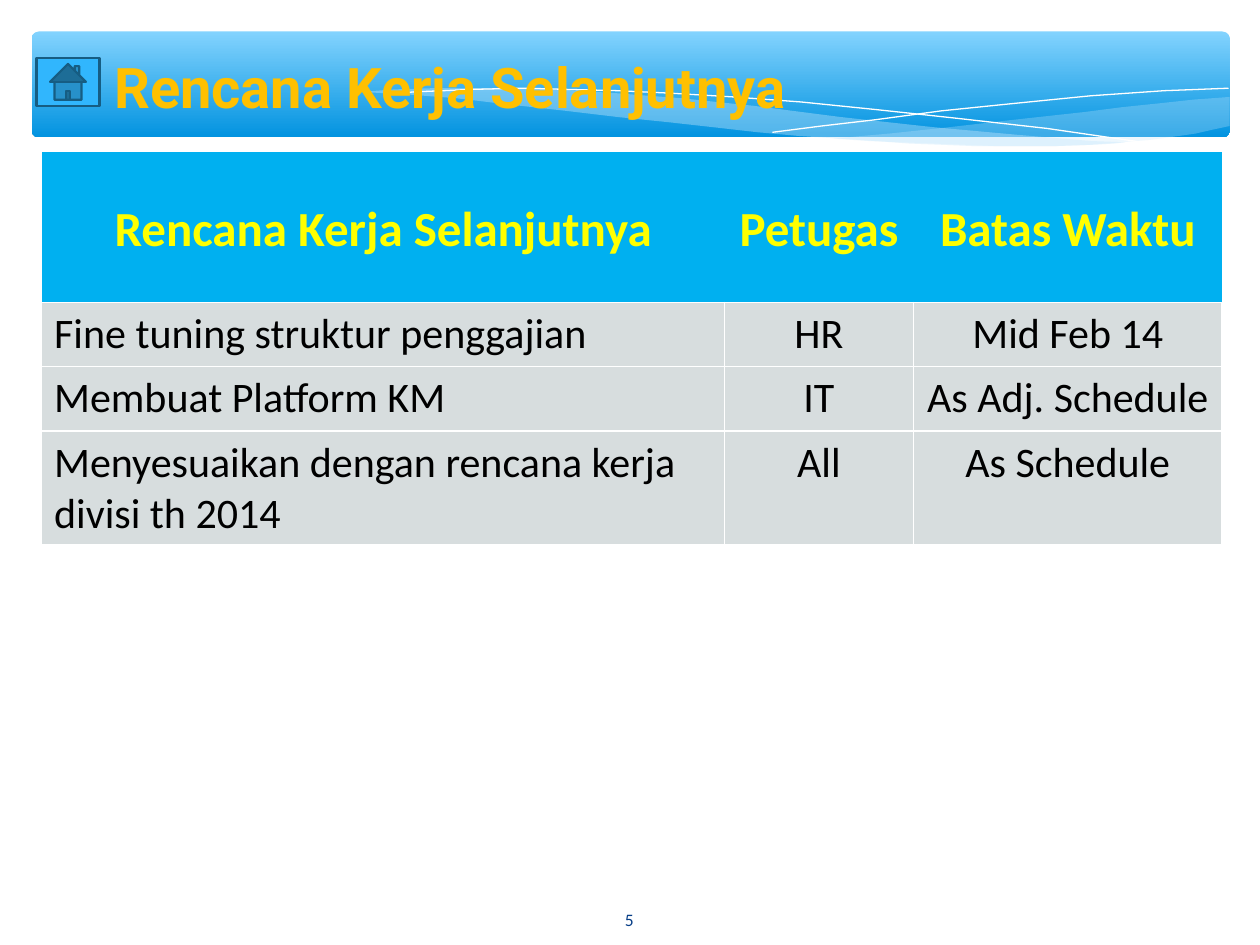
import pptx
import pptx.dml.color
import pptx.enum.shapes
import pptx.enum.text
import pptx.oxml
import pptx.oxml.ns
import pptx.util
from pptx.util import Inches

COLORS = {
    "banner_top": "83D3FE", "banner_bottom": "0293E0", "wave": "C6E7FC",
    "white": "FFFFFF", "title": "FFC000", "number": "073E87",
    "button": "31B6FD", "button_line": "165D83",
    "header": "00B0F0", "header_text": "FFFF00", "body": "D7DDDE", "black": "000000",
}

# Outlines of the banner waves, in inches
RIGHT_WAVE = [
    (9.75, 0.77), (9.48, 0.79), (9.2, 0.82), (8.91, 0.85), (8.6, 0.89), (8.05, 0.95),
    (7.53, 1.01), (7.06, 1.06), (6.61, 1.1), (6.91, 1.12), (7.18, 1.13), (7.44, 1.14),
    (7.69, 1.15), (7.92, 1.16), (8.34, 1.16), (8.63, 1.15), (8.89, 1.13), (9.13, 1.11),
    (9.35, 1.08), (9.49, 1.06), (9.62, 1.03), (9.76, 1), (9.76, 0.77),
]
LONG_WAVE = [
    (8.93, 1.13), (8.66, 1.12), (8.07, 1.07), (7.41, 1.01), (6.68, 0.93), (6.29, 0.88),
    (5.98, 0.84), (5.69, 0.81), (5.41, 0.78), (5.14, 0.76), (4.89, 0.74), (4.42, 0.71),
    (3.99, 0.7), (3.44, 0.7), (3.13, 0.71), (2.86, 0.73), (3.23, 0.75), (3.62, 0.78),
    (4.04, 0.83), (4.49, 0.88), (4.91, 0.93), (5.3, 0.97), (5.66, 1.01), (6.01, 1.05),
    (6.34, 1.08), (6.65, 1.1), (6.95, 1.12), (7.22, 1.14), (7.48, 1.15), (7.73, 1.16),
    (8.38, 1.16), (8.67, 1.15), (8.84, 1.14),
]
FALLING_LINE = [
    (3.09, 0.75), (3.28, 0.73), (3.53, 0.72), (3.74, 0.71), (4.16, 0.7), (4.5, 0.71),
    (4.89, 0.72), (5.32, 0.74), (5.82, 0.77), (6.36, 0.81), (6.95, 0.87), (7.6, 0.94),
    (8.31, 1.02), (9.07, 1.13),
]
RISING_LINE = [
    (6.13, 1.05), (6.52, 1), (6.95, 0.95), (7.47, 0.88), (8.06, 0.82), (8.66, 0.76),
    (8.95, 0.74), (9.24, 0.72), (9.5, 0.71), (9.75, 0.7),
]

TABLE_ROWS = [
    ("Rencana Kerja Selanjutnya", "Petugas", "Batas Waktu"),
    ("Fine tuning struktur penggajian", "HR", "Mid Feb 14"),
    ("Membuat Platform KM", "IT", "As Adj. Schedule"),
    ("Menyesuaikan dengan rencana kerja divisi th 2014", "All", "As Schedule"),
]
COLUMN_WIDTHS = [5.42, 1.5, 2.45]
ROW_HEIGHTS = [1.19, 0.51, 0.51, 0.9]


def rgb(name):
    return pptx.dml.color.RGBColor.from_string(COLORS[name])


def fill_solid(target, color):
    target.fill.solid()
    target.fill.fore_color.rgb = rgb(color)


def format_text(text_frame, size, color, font="Calibri", bold=False, centered=False):
    paragraph = text_frame.paragraphs[0]
    if centered:
        paragraph.alignment = pptx.enum.text.PP_ALIGN.CENTER
    run_font = paragraph.runs[0].font
    run_font.size = pptx.util.Pt(size)
    run_font.name = font
    run_font.bold = bold
    run_font.color.rgb = rgb(color)
    return paragraph


def add_text(slide, text, left, top, width, height, **style):
    text_frame = slide.shapes.add_textbox(
        Inches(left), Inches(top), Inches(width), Inches(height)).text_frame
    text_frame.word_wrap = True
    text_frame.text = text
    format_text(text_frame, **style)
    return text_frame


def add_preset(slide, kind, left, top, width, height):
    shape = slide.shapes.add_shape(
        kind, Inches(left), Inches(top), Inches(width), Inches(height))
    shape.shadow.inherit = False
    return shape


def add_curve(slide, points, closed):
    points = [(Inches(x), Inches(y)) for x, y in points]
    builder = slide.shapes.build_freeform(*points[0])
    builder.add_line_segments(points[1:], close=closed)
    shape = builder.convert_to_shape()
    shape.shadow.inherit = False
    return shape


def add_wave(slide, points, opacity):
    shape = add_curve(slide, points, closed=True)
    fill_solid(shape, "wave")
    shape.line.fill.background()
    color = shape.fill._xPr.find(".//" + pptx.oxml.ns.qn("a:srgbClr"))
    alpha = pptx.oxml.parse_xml(
        f'<a:alpha {pptx.oxml.ns.nsdecls("a")} val="{opacity * 1000}"/>')
    color.append(alpha)


def add_wave_line(slide, points):
    shape = add_curve(slide, points, closed=False)
    shape.fill.background()
    shape.line.color.rgb = rgb("white")
    shape.line.width = pptx.util.Pt(0.75)


def add_banner(slide):
    banner = add_preset(
        slide, pptx.enum.shapes.MSO_SHAPE.ROUNDED_RECTANGLE, 0.25, 0.25, 9.51, 0.84)
    banner.adjustments[0] = 0.07
    banner.line.fill.background()
    banner.fill.gradient()
    banner.fill.gradient_angle = 270
    for stop, color, position in zip(
            banner.fill.gradient_stops, ("banner_top", "banner_bottom"), (0, 1)):
        stop.color.rgb = rgb(color)
        stop.position = position
    add_wave(slide, RIGHT_WAVE, 29)
    add_wave(slide, LONG_WAVE, 40)
    add_wave_line(slide, FALLING_LINE)
    add_wave_line(slide, RISING_LINE)


def add_home_button(slide):
    button = add_preset(
        slide, pptx.enum.shapes.MSO_SHAPE.ACTION_BUTTON_HOME, 0.29, 0.46, 0.5, 0.38)
    fill_solid(button, "button")
    button.line.color.rgb = rgb("button_line")
    button.line.width = pptx.util.Pt(1.25)


def set_borders(cell, visible_sides):
    properties = cell._tc.get_or_add_tcPr()
    for side in "LRTB":
        paint = "<a:noFill/>"
        if side in visible_sides:
            paint = f'<a:solidFill><a:srgbClr val="{COLORS["white"]}"/></a:solidFill>'
        properties.append(pptx.oxml.parse_xml(
            f'<a:ln{side} {pptx.oxml.ns.nsdecls("a")} w="12700">{paint}</a:ln{side}>'))


def format_cell(cell, text, is_header, centered):
    cell.text_frame.text = text
    set_borders(cell, "B" if is_header else "LRTB")
    fill_solid(cell, "header" if is_header else "body")
    if is_header:
        cell.vertical_anchor = pptx.enum.text.MSO_ANCHOR.MIDDLE
        cell.margin_top, cell.margin_bottom = Inches(0.45), Inches(0.3)
        paragraph = format_text(
            cell.text_frame, 28, "header_text", bold=True, centered=True)
        paragraph.line_spacing = 0.55
    else:
        format_text(cell.text_frame, 24, "black", centered=centered)


def add_plan_table(slide):
    table = slide.shapes.add_table(
        len(TABLE_ROWS), len(COLUMN_WIDTHS), Inches(0.33), Inches(1.21),
        Inches(sum(COLUMN_WIDTHS)), Inches(sum(ROW_HEIGHTS))).table
    table.horz_banding = False
    for column, width in zip(table.columns, COLUMN_WIDTHS):
        column.width = Inches(width)
    for row_index, texts in enumerate(TABLE_ROWS):
        table.rows[row_index].height = Inches(ROW_HEIGHTS[row_index])
        for column_index, text in enumerate(texts):
            format_cell(table.cell(row_index, column_index), text,
                        is_header=row_index == 0, centered=column_index > 0)


def main():
    presentation = pptx.Presentation()
    presentation.slide_width, presentation.slide_height = Inches(10), Inches(7.5)
    slide = presentation.slides.add_slide(presentation.slide_layouts[6])

    # Banner with title
    add_banner(slide)
    add_text(slide, "Rencana Kerja Selanjutnya", 0.81, 0.37, 7.5, 0.95,
             size=32, color="title", font="Roboto", bold=True)

    # Slide number
    number = add_text(slide, "5", 4.36, 7.1, 1.27, 0.4,
                      size=10, color="number", centered=True)
    number.vertical_anchor = pptx.enum.text.MSO_ANCHOR.MIDDLE

    # Home button and work plan
    add_home_button(slide)
    add_plan_table(slide)
    presentation.save("out.pptx")


if __name__ == "__main__":
    main()
